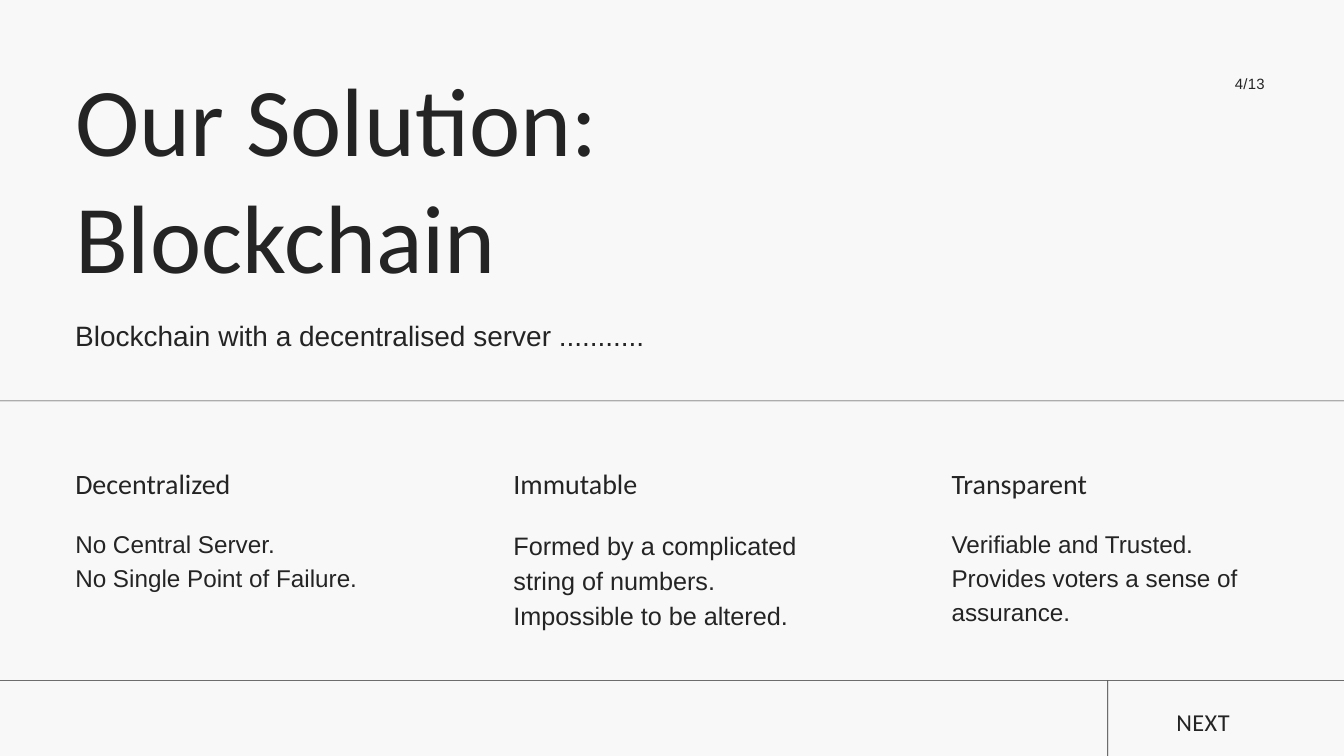
from pptx import Presentation
from pptx.dml.color import RGBColor
from pptx.enum.shapes import MSO_SHAPE
from pptx.enum.text import MSO_ANCHOR, MSO_AUTO_SIZE, PP_ALIGN
from pptx.util import Pt

INK = "242424"


def color(fill, code):
    fill.solid()
    fill.fore_color.rgb = RGBColor.from_string(code)


def write(text, left, top, width, height, size, font="Arial", lead=1.4,
          align=PP_ALIGN.LEFT, track=0, box=None):
    box = box or slide.shapes.add_textbox(0, 0, 0, 0)
    box.left, box.top, box.width, box.height = Pt(left), Pt(top), Pt(width), Pt(height)
    frame = box.text_frame
    frame.margin_left = frame.margin_right = frame.margin_top = frame.margin_bottom = 0
    frame.word_wrap = True
    frame.auto_size = MSO_AUTO_SIZE.NONE
    frame.vertical_anchor = MSO_ANCHOR.TOP
    frame.text = text
    for par in frame.paragraphs:
        par.alignment = align
        par.line_spacing = Pt(round(size * lead, 1))
        par.space_before = par.space_after = Pt(0)
        for run in par.runs:
            run.font.name = font
            run.font.size = Pt(size)
            color(run.font.fill, INK)
            if track:
                run._r.get_or_add_rPr().set("spc", str(track))


deck = Presentation()
deck.slide_width, deck.slide_height = Pt(1440), Pt(810)
slide = deck.slides.add_slide(deck.slide_layouts[5])
color(slide.background.fill, "F8F8F8")

write("Our Solution: Blockchain", 80.64, 64.08, 938.88, 248.4, 104,
      font="Calibri", lead=1.2, box=slide.shapes.title)
write("Blockchain with a decentralised server ...........", 80.64, 335.52, 750.96, 40.32, 30)

columns = [
    ("Decentralized", "No Central Server.\nNo Single Point of Failure.", 26, 70.56),
    ("Immutable", "Formed by a complicated string of numbers.\nImpossible to be altered.", 27, 111.6),
    ("Transparent", "Verifiable and Trusted.\nProvides voters a sense of assurance.", 26, 106.56),
]
for i, (head, body, size, height) in enumerate(columns):
    left = 80.64 + 469.44 * i
    write(head, left, 493.92, 339.12, 39.6, 30, font="Calibri")
    write(body, left, 562.32, 339.12, height, size)

rules = [(0, 429.12, 1440, 0.72), (0, 728.64, 1440, 0.72), (1186.56, 729.36, 0.72, 80.64)]
for spot in rules:
    rule = slide.shapes.add_shape(MSO_SHAPE.RECTANGLE, *map(Pt, spot))
    rule.shadow.inherit = False
    color(rule.fill, INK)
    rule.line.fill.background()

write("NEXT", 1221.84, 752.4, 95.76, 33.12, 26, font="Calibri", align=PP_ALIGN.RIGHT, track=50)
write("4/13", 1248.48, 77.04, 106.56, 22.32, 16, align=PP_ALIGN.RIGHT, track=30)

deck.save("out.pptx")
